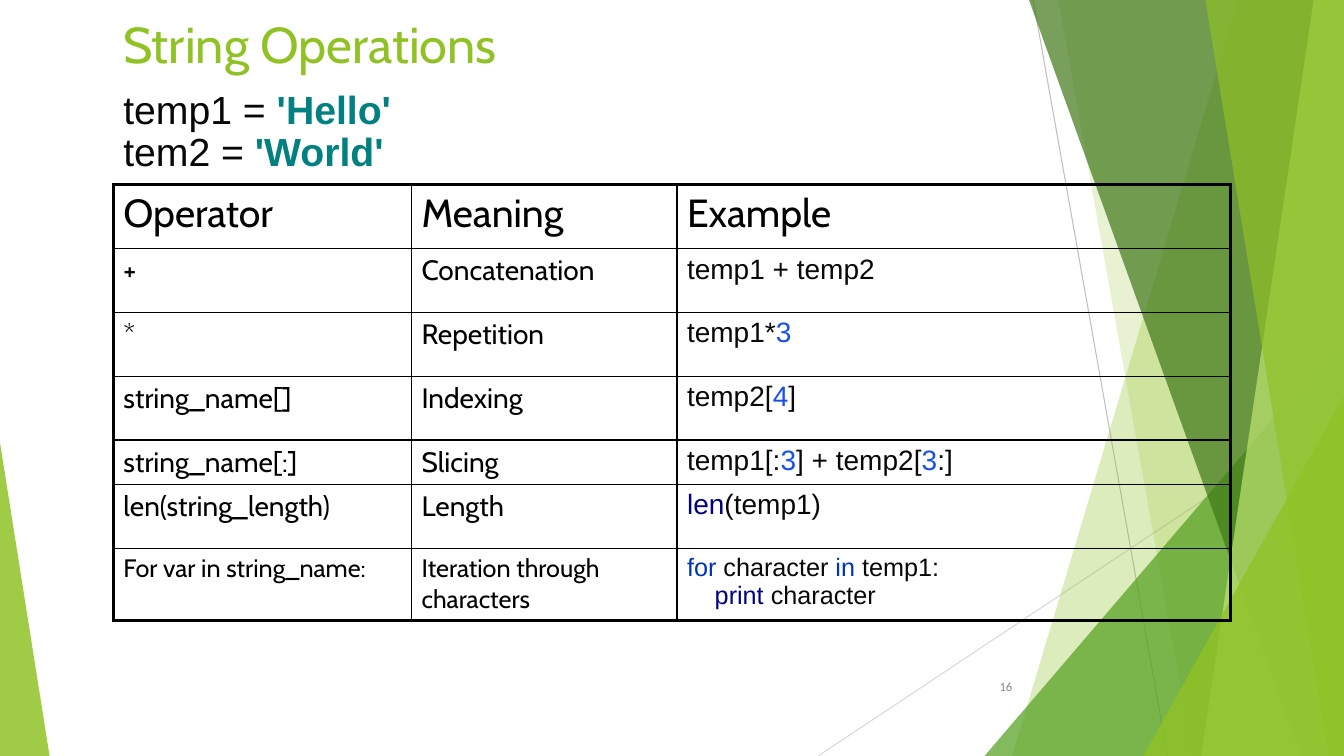
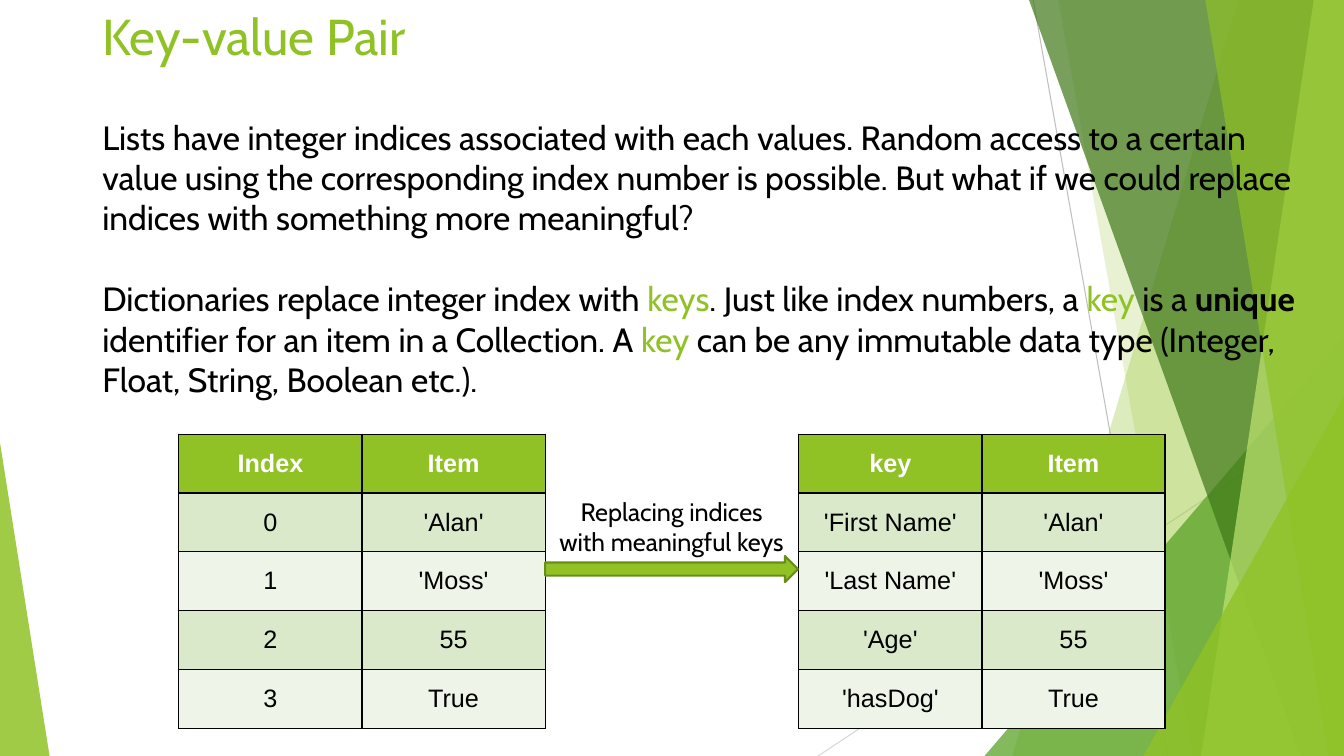
"""Build two slides on Python strings and dictionaries."""
from dataclasses import dataclass
from typing import NamedTuple

from lxml import etree
from pptx import Presentation
from pptx import util as u
from pptx.dml import color as dml
from pptx.enum import shapes, text
from pptx.oxml import ns

SLIDE_WIDTH, SLIDE_HEIGHT = u.Inches(13.333), u.Inches(7.5)
COLUMNS, ROWS = 16, 9
GREEN, BLACK, WHITE = "90C226", "000000", "FFFFFF"
CODE, NUMBER, BUILTIN, KEYWORD, STRING = "080808", "1750EB", "000080", "0033B3", "008080"
BANDS = ("DBE9CB", "EEF4E7")
THIN, THICK = 1, 2.25
LEFT, CENTER, RIGHT = text.PP_ALIGN.LEFT, text.PP_ALIGN.CENTER, text.PP_ALIGN.RIGHT
TOP, MIDDLE = text.MSO_ANCHOR.TOP, text.MSO_ANCHOR.MIDDLE


class Span(NamedTuple):
    text: str
    color: str | None = None
    bold: bool = False


class Area(NamedTuple):
    left: float
    top: float
    width: float
    height: float


class Ray(NamedTuple):
    start: tuple
    end: tuple
    color: str


@dataclass(frozen=True)
class Facet:
    top: float
    bottom: float
    color: str
    opacity: int


@dataclass(frozen=True)
class Wedge:
    area: Area
    apex: int
    color: str
    opacity: int


@dataclass(frozen=True)
class Operator:
    name: str
    meaning: str
    example: tuple
    size: int = 20


RAYS = (
    Ray((12.3, 0), (13.9, 9), "BFBFBF"),
    Ray((16, 4.84), (9.74, 9), "D8D8D8"),
)
PANELS = (
    Facet(14.74, 12.05, GREEN, 30),
    Facet(12.6, 14.2, GREEN, 20),
    Wedge(Area(11.72, 4, 4.28, 5), 1, "54A021", 72),
    Facet(12.25, 15.49, "3F7818", 70),
    Facet(15.64, 14.3, "BFE471", 70),
    Facet(14.35, 15.82, GREEN, 65),
    Wedge(Area(13.61, 4.72, 2.39, 4.28), 1, GREEN, 80),
    Wedge(Area(0, 5.27, 0.59, 3.73), 0, GREEN, 85),
)
OPERATORS = (
    Operator("+", "Concatenation", ("temp1 + temp2",)),
    Operator("*", "Repetition", ("temp1*", Span("3", NUMBER))),
    Operator("string_name[]", "Indexing", ("temp2[", Span("4", NUMBER), "]")),
    Operator("string_name[:]", "Slicing",
             ("temp1[:", Span("3", NUMBER), "] + temp2[", Span("3", NUMBER), ":]")),
    Operator("len(string_length)", "Length", (Span("len", BUILTIN), "(temp1)")),
    Operator("For var in string_name:", "Iteration through characters",
             (Span("for ", KEYWORD), "character ", Span("in ", KEYWORD), "temp1:"), 18),
)
LOOP_BODY = (Span("print ", BUILTIN), "character")
ITEMS = ("'Alan'", "'Moss'", "55", "True")


def across(columns: float) -> int:
    """Turn grid columns into a length."""
    return round(SLIDE_WIDTH * columns / COLUMNS)


def down(rows: float) -> int:
    """Turn grid rows into a length."""
    return round(SLIDE_HEIGHT * rows / ROWS)


def place(area: Area) -> tuple:
    """Turn a grid area into left, top, width and height."""
    return across(area.left), down(area.top), across(area.width), down(area.height)


def rgb(value: str) -> dml.RGBColor:
    """Turn a hex string into a colour."""
    return dml.RGBColor.from_string(value)


def paint(shape, color: str, opacity: int = 100, outline: str | None = None) -> None:
    """Give a shape its fill and outline, without a shadow."""
    shape.shadow.inherit = False
    shape.fill.solid()
    shape.fill.fore_color.rgb = rgb(color)
    if opacity < 100:
        tint = shape.fill._xPr.find(".//" + ns.qn("a:srgbClr"))
        etree.SubElement(tint, ns.qn("a:alpha"), val=str(opacity * 1000))
    if outline:
        shape.line.color.rgb = rgb(outline)
        shape.line.width = u.Pt(1.5)
    else:
        shape.line.fill.background()


def write(frame, *paragraphs, size: float = 18, font: str = "Cabin", color: str = BLACK,
          bold: bool = False, align=LEFT, spacing: float | None = None,
          gap: float = 0, indent: float = 0) -> None:
    """Fill a frame with paragraphs of strings and spans; later ones take the gap and indent."""
    for index, spans in enumerate(paragraphs):
        para = frame.add_paragraph() if index else frame.paragraphs[0]
        para.alignment = align
        para.line_spacing = spacing
        if index and gap:
            para.space_before = u.Pt(gap)
        if index and indent:
            para._p.get_or_add_pPr().set("marL", str(across(indent)))
        for item in (spans,) if isinstance(spans, str) else spans:
            span = Span(item) if isinstance(item, str) else item
            run = para.add_run()
            run.text = span.text
            run.font.name = font
            run.font.size = u.Pt(size)
            run.font.bold = bold or span.bold
            run.font.color.rgb = rgb(span.color or color)


def add_text(page, area: Area, *paragraphs, anchor=TOP, **style) -> None:
    """Add a wrapping text box."""
    frame = page.shapes.add_textbox(*place(area)).text_frame
    frame.word_wrap = True
    frame.vertical_anchor = anchor
    write(frame, *paragraphs, **style)


def draw_ray(page, ray: Ray) -> None:
    """Draw a thin background line."""
    (x1, y1), (x2, y2) = ray.start, ray.end
    line = page.shapes.add_connector(
        shapes.MSO_CONNECTOR.STRAIGHT, across(x1), down(y1), across(x2), down(y2))
    line.line.color.rgb = rgb(ray.color)
    line.line.width = u.Pt(0.75)
    etree.SubElement(line._element.spPr, ns.qn("a:effectLst"))


def draw_panel(page, panel: Facet | Wedge) -> None:
    """Draw a facet reaching the right edge, or a right-angled wedge."""
    if isinstance(panel, Wedge):
        shape = page.shapes.add_shape(
            shapes.MSO_SHAPE.ISOSCELES_TRIANGLE, *place(panel.area))
        shape.adjustments[0] = panel.apex
    else:
        outline = page.shapes.build_freeform(across(panel.top), 0)
        outline.add_line_segments([
            (across(COLUMNS), 0), (across(COLUMNS), down(ROWS)),
            (across(panel.bottom), down(ROWS))], close=True)
        shape = outline.convert_to_shape()
    paint(shape, panel.color, panel.opacity)


def add_page(deck, title: str, title_area: Area):
    """Add a page with the shared background and title style."""
    page = deck.slides.add_slide(deck.slide_layouts[6])
    for ray in RAYS:
        draw_ray(page, ray)
    for panel in PANELS:
        draw_panel(page, panel)
    add_text(page, title_area, title, size=36, color=GREEN)
    return page


def add_grid(page, left: float, top: float, widths: list, heights: list):
    """Add a table without style bands."""
    area = Area(left, top, sum(widths), sum(heights))
    table = page.shapes.add_table(len(heights), len(widths), *place(area)).table
    table.first_row = table.horz_banding = False
    for column, width in zip(table.columns, widths):
        column.width = across(width)
    for row, height in zip(table.rows, heights):
        row.height = down(height)
    return table


def rule_cell(cell, sides: dict, fill: str | None = None) -> None:
    """Set a cell's fill and its border widths."""
    if fill:
        cell.fill.solid()
        cell.fill.fore_color.rgb = rgb(fill)
    else:
        cell.fill.background()
    properties = cell._tc.get_or_add_tcPr()
    for index, (side, width) in enumerate(sides.items()):
        line = etree.Element(ns.qn(f"a:ln{side}"), w=str(u.Pt(width)))
        solid = etree.SubElement(line, ns.qn("a:solidFill"))
        etree.SubElement(solid, ns.qn("a:srgbClr"), val=BLACK)
        properties.insert(index, line)


def add_operator_table(page) -> None:
    """Add the table of string operators."""
    heights = [0.76] * 4 + [0.53, 0.76, 0.86]
    table = add_grid(page, 1.35, 2.2, [3.55, 3.16, 6.59], heights)
    uprights = [THICK, THIN, THICK, THICK]
    levels = [THICK] + [THIN] * len(OPERATORS) + [THICK]
    for row in range(len(heights)):
        for column in range(3):
            sides = {"L": uprights[column], "R": uprights[column + 1],
                     "T": levels[row], "B": levels[row + 1]}
            rule_cell(table.cell(row, column), sides)
    for column, heading in enumerate(("Operator", "Meaning", "Example")):
        write(table.cell(0, column).text_frame, heading, size=28)
    for row, operator in enumerate(OPERATORS, 1):
        name, meaning, example = (table.cell(row, column).text_frame for column in range(3))
        write(name, operator.name, size=operator.size)
        write(meaning, operator.meaning, size=operator.size)
        lines = [operator.example]
        if operator is OPERATORS[-1]:
            lines.append(LOOP_BODY)
        write(example, *lines, size=operator.size, font="Arial", color=CODE, indent=0.33)


def add_pair_table(page, left: float, heading: str, labels: tuple) -> None:
    """Add a banded table that pairs labels with the items."""
    records = [(heading, "Item"), *zip(labels, ITEMS)]
    table = add_grid(page, left, 5.17, [2.18] * 2, [0.7] * len(records))
    for row, record in enumerate(records):
        for column, value in enumerate(record):
            cell = table.cell(row, column)
            rule_cell(cell, dict.fromkeys("LRTB", THIN), BANDS[(row - 1) % 2] if row else GREEN)
            cell.vertical_anchor = MIDDLE
            write(cell.text_frame, value, font="Arial", align=CENTER,
                  color=BLACK if row else WHITE, bold=row == 0)


def build_operations(deck) -> None:
    """Build the page on string operations."""
    page = add_page(deck, "String Operations", Area(1.35, 0.1, 10.8, 1.25))
    add_text(page, Area(11.27, 7.93, 0.9, 0.48), "16", size=9, font="Calibri",
             color="898989", align=RIGHT, anchor=MIDDLE)
    add_operator_table(page)
    add_text(page, Area(1.35, 0.96, 10.8, 1.25),
             ("temp1 = ", Span("'Hello'", STRING, True)),
             ("tem2 = ", Span("'World'", STRING, True)),
             size=28, font="Arial", color=CODE, spacing=0.9, anchor=MIDDLE)


def build_pairs(deck) -> None:
    """Build the page on key-value pairs."""
    page = add_page(deck, "Key-value Pair", Area(1.1, 0, 13.8, 1.74))
    key = Span("key", GREEN)
    add_text(page, Area(1.1, 1.33, 14.65, 3.52),
             "Lists have integer indices associated with each values. Random access to a certain "
             "value using the corresponding index number is possible. But what if we could "
             "replace indices with something more meaningful?",
             ("Dictionaries replace integer index with ", Span("keys", GREEN),
              ". Just like index numbers, a ", key, " is a ", Span("unique", bold=True),
              " identifier for an item in a Collection. A ", key,
              " can be any immutable data type (Integer, Float, String, Boolean etc.)."),
             size=24, gap=29)
    add_pair_table(page, 2.13, "Index", ("0", "1", "2", "3"))
    add_pair_table(page, 9.51, "key", ("'First Name'", "'Last Name'", "'Age'", "'hasDog'"))
    arrow = page.shapes.add_shape(
        shapes.MSO_SHAPE.RIGHT_ARROW, *place(Area(6.49, 6.62, 3.01, 0.31)))
    paint(arrow, GREEN, outline="698D1B")
    add_text(page, Area(6.49, 5.85, 3.01, 0.85), "Replacing indices with meaningful keys",
             align=CENTER)


def main() -> None:
    """Build and save the deck."""
    deck = Presentation()
    deck.slide_width, deck.slide_height = SLIDE_WIDTH, SLIDE_HEIGHT
    build_operations(deck)
    build_pairs(deck)
    deck.save("out.pptx")


if __name__ == "__main__":
    main()
